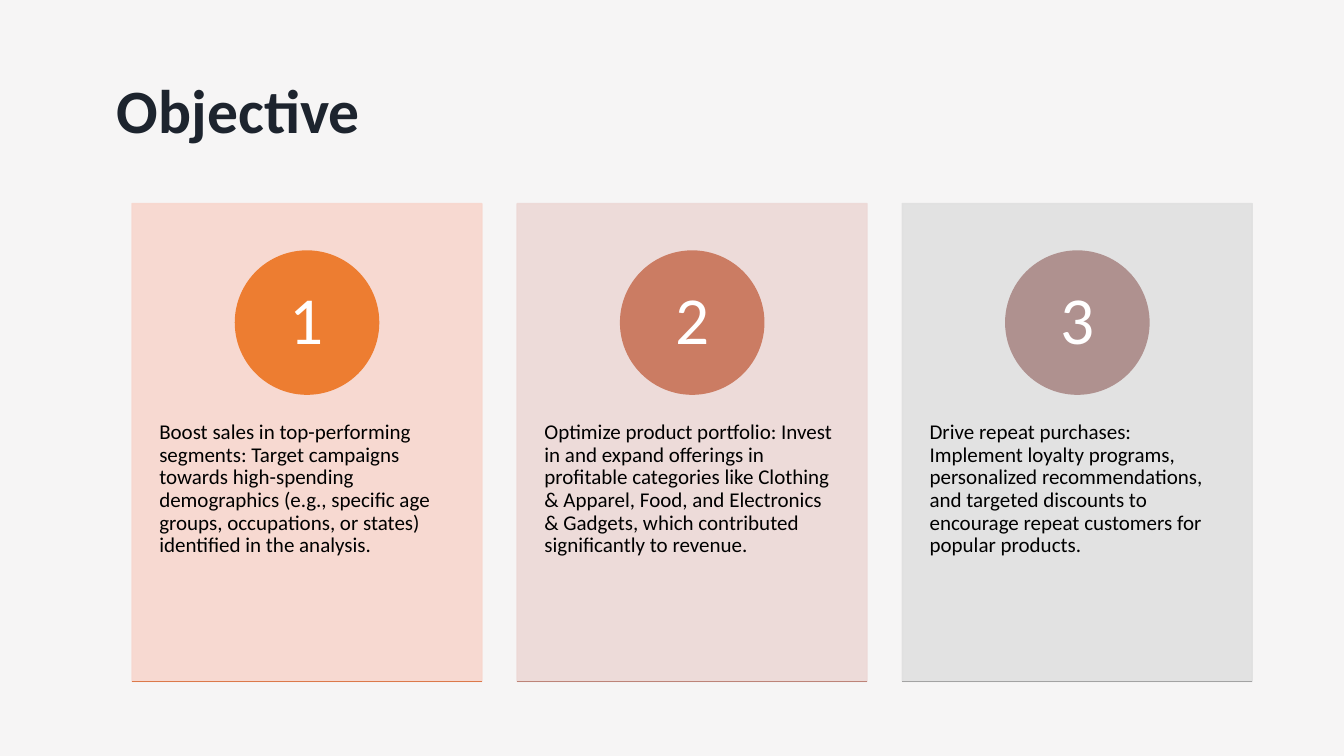
from lxml.etree import SubElement
from pptx import Presentation
from pptx.dml.color import RGBColor
from pptx.enum.shapes import MSO_CONNECTOR as Connector, MSO_SHAPE as Shape
from pptx.enum.text import MSO_ANCHOR as Anchor, PP_ALIGN as Align
from pptx.oxml.ns import qn
from pptx.util import Pt

PX = 9144
FONT = "Calibri"
COLORS = {"page": "F6F5F5", "title": "1D242E", "body": "000000", "number": "FFFFFF"}
CARD_WIDTH, CARD_HEIGHT, CARD_STEP = 347, 474, 382
CARDS_LEFT, CARDS_TOP = 131, 202
BADGE_SIZE, BADGE_TOP = 142, 47
BODY_TOP, BODY_HEIGHT = 180, 284
CARDS = [
    {"panel": "F8D7CE", "badge": "ED7D31", "rule": "DC794A",
     "body": "Boost sales in top-performing segments: Target campaigns towards "
             "high-spending demographics (e.g., specific age groups, occupations, "
             "or states) identified in the analysis."},
    {"panel": "EDD9D6", "badge": "CB7C63", "rule": "BD8479",
     "body": "Optimize product portfolio: Invest in and expand offerings in "
             "profitable categories like Clothing & Apparel, Food, and Electronics "
             "& Gadgets, which contributed significantly to revenue."},
    {"panel": "E0E0E0", "badge": "AF918F", "rule": "A3A3A3",
     "body": "Drive repeat purchases: Implement loyalty programs, personalized "
             "recommendations, and targeted discounts to encourage repeat "
             "customers for popular products."},
]


def px(*lengths):
    """Turn pixel lengths into EMU."""
    return [round(length * PX) for length in lengths]


def write(shape, text, size, color, margins, align=Align.LEFT, anchor=Anchor.TOP,
          bold=False, spacing=0.9):
    """Put one formatted paragraph into a shape."""
    frame = shape.text_frame
    frame.text = text
    frame.word_wrap = True
    frame.vertical_anchor = anchor
    (frame.margin_left, frame.margin_top,
     frame.margin_right, frame.margin_bottom) = px(*margins)
    para = frame.paragraphs[0]
    para.alignment = align
    para.line_spacing = spacing
    for span in para.runs:
        span.font.name = FONT
        span.font.size = Pt(size)
        span.font.bold = bold
        span.font.color.rgb = RGBColor.from_string(color)


def add_filled(page, kind, box, color, opacity=100):
    """Add a shape whose fill and outline share one colour."""
    shape = page.shapes.add_shape(kind, *px(*box))
    shape.shadow.inherit = False
    shape.fill.solid()
    shape.line.width = Pt(1)
    for paint in (shape.fill.fore_color, shape.line.color):
        paint.rgb = RGBColor.from_string(color)
    if opacity < 100:
        for tint in shape.element.spPr.iter(qn("a:srgbClr")):
            SubElement(tint, qn("a:alpha"), val=str(opacity * 1000))
    return shape


def add_rule(page, left, top, width, color):
    """Draw a thin horizontal rule."""
    rule = page.shapes.add_connector(Connector.STRAIGHT, *px(left, top, left + width, top))
    rule.line.width = Pt(1)
    rule.line.color.rgb = RGBColor.from_string(color)
    SubElement(rule.element.spPr, qn("a:effectLst"))


def add_title(page, text, box):
    """Place and format the title placeholder."""
    title = page.shapes.title
    title.left, title.top, title.width, title.height = px(*box)
    write(title, text, 44, COLORS["title"], (24, 10, 10, 5), bold=True, spacing=1.0)


def add_card(page, number, card, box):
    """Build one numbered card inside its box."""
    left, top, width, height = box
    add_filled(page, Shape.RECTANGLE, box, card["panel"], opacity=90)
    body = page.shapes.add_textbox(*px(left, top + BODY_TOP, width, BODY_HEIGHT))
    write(body, card["body"], 15, COLORS["body"], (27, 36, 27, 36))
    badge_left = left + (width - BADGE_SIZE) / 2
    badge = add_filled(page, Shape.OVAL,
                       (badge_left, top + BADGE_TOP, BADGE_SIZE, BADGE_SIZE), card["badge"])
    write(badge, str(number), 48, COLORS["number"], (11, 1, 11, 1),
          Align.CENTER, Anchor.MIDDLE)
    add_rule(page, left, top + height, width, card["rule"])


def main():
    """Build the objective slide and save the deck."""
    deck = Presentation()
    deck.slide_width, deck.slide_height = px(1333, 750)
    page = deck.slides.add_slide(deck.slide_layouts[5])
    page.background.fill.solid()
    page.background.fill.fore_color.rgb = RGBColor.from_string(COLORS["page"])
    add_title(page, "Objective", (92, 61, 1132, 140))
    for index, card in enumerate(CARDS):
        left = CARDS_LEFT + index * CARD_STEP
        add_card(page, index + 1, card, (left, CARDS_TOP, CARD_WIDTH, CARD_HEIGHT))
    deck.save("out.pptx")


if __name__ == "__main__":
    main()
